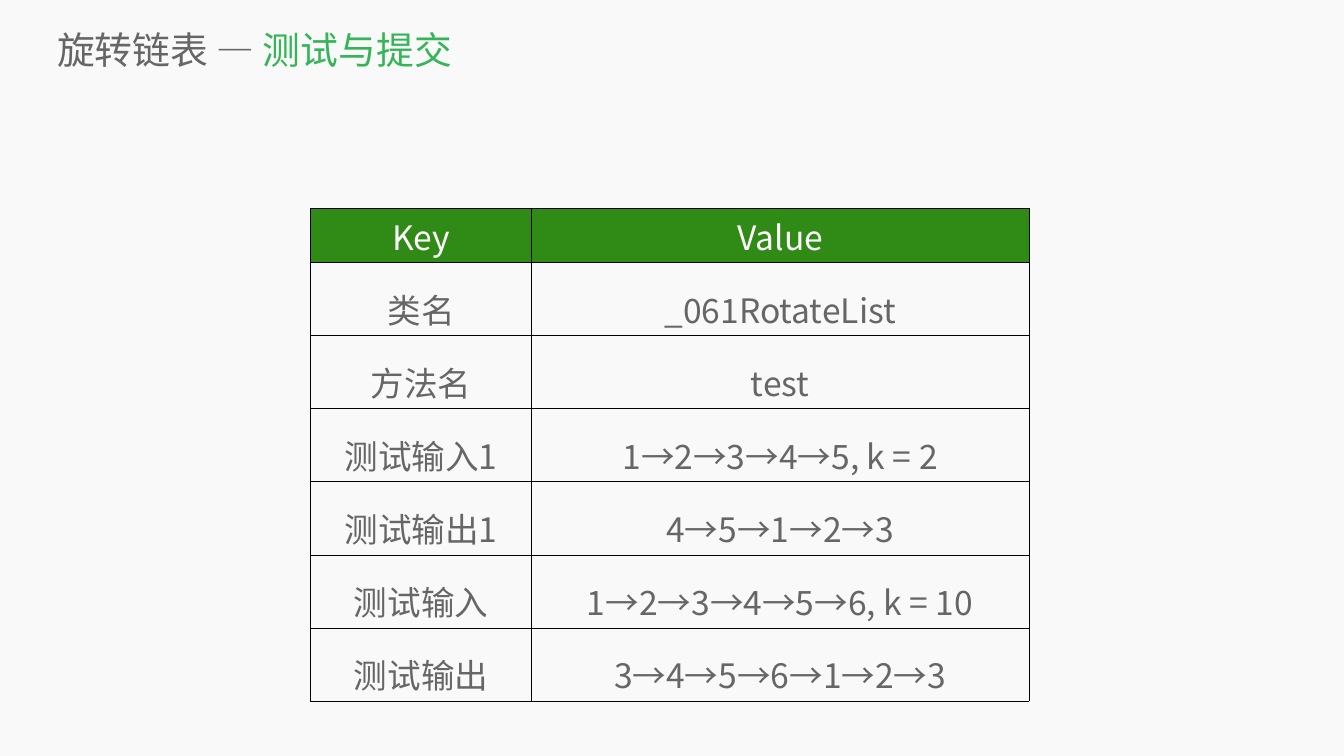
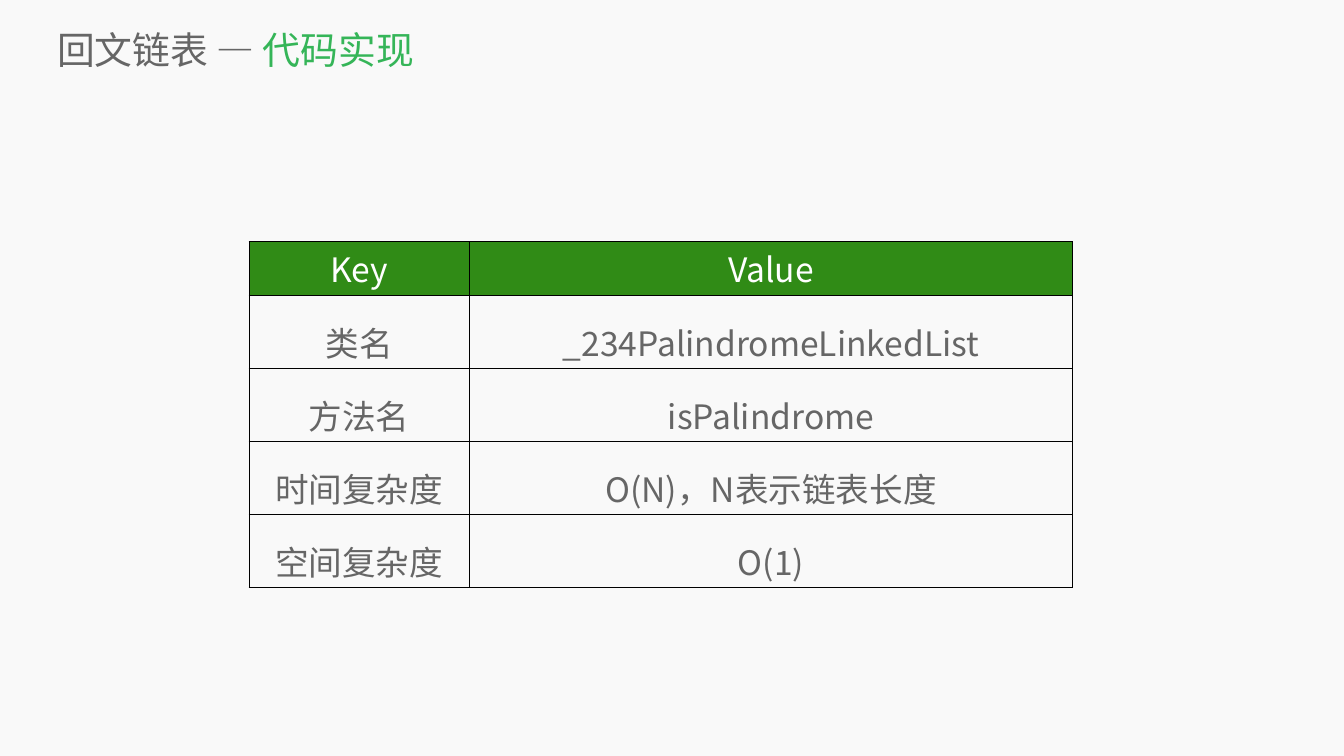
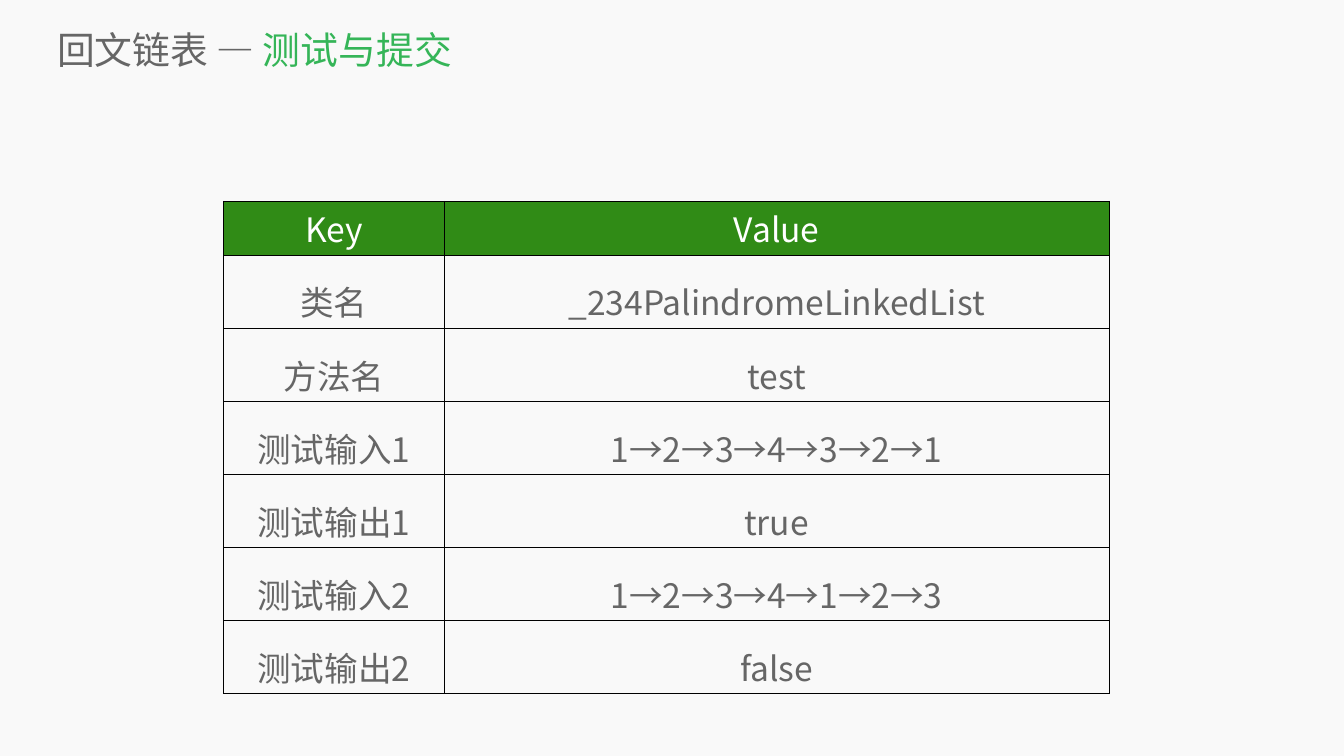
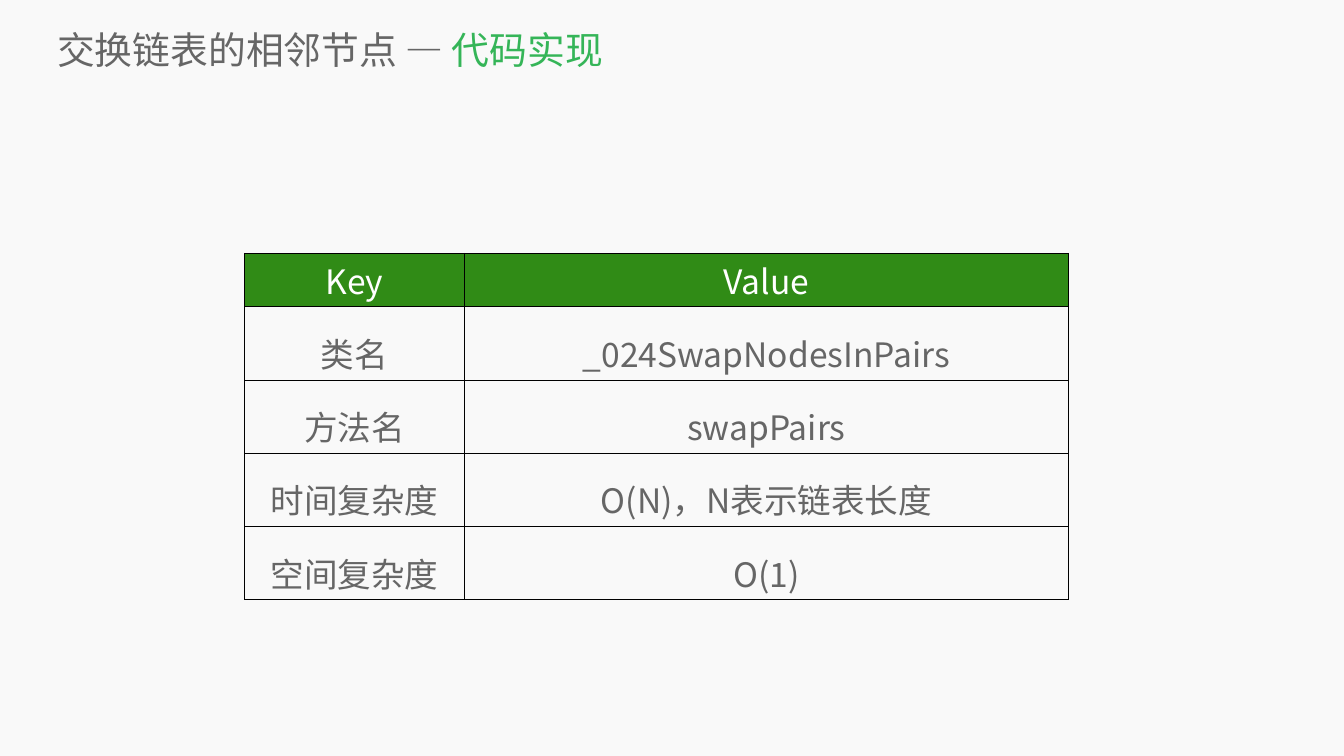
import dataclasses

import lxml.etree
import pptx
import pptx.dml.color
import pptx.enum.text
import pptx.oxml.ns
import pptx.util

Pt = pptx.util.Pt
RGB = pptx.dml.color.RGBColor.from_string


@dataclasses.dataclass(frozen=True)
class Theme:
    font: str = "Noto Sans CJK SC"
    background: str = "F9F9F9"
    text: str = "666666"
    accent: str = "35B558"
    header: str = "308B16"
    header_text: str = "FFFFFF"
    border: str = "000000"
    title_size: int = 54
    table_size: int = 48
    border_width: int = 1


theme = Theme()


def write(paragraph, text, size, color, align=None, spacing=None):
    run = paragraph.add_run()
    run.text = text
    run.font.size = Pt(size)
    run.font.name = theme.font
    run.font.color.rgb = RGB(color)
    east_asian = lxml.etree.SubElement(run.font._element, pptx.oxml.ns.qn("a:ea"))
    east_asian.set("typeface", theme.font)
    if align is not None:
        paragraph.alignment = align
    if spacing is not None:
        paragraph.line_spacing = spacing


def outline(cell):
    properties = cell._tc.get_or_add_tcPr()
    for side in ("a:lnL", "a:lnR", "a:lnT", "a:lnB"):
        line = lxml.etree.SubElement(properties, pptx.oxml.ns.qn(side), w=str(Pt(theme.border_width)))
        fill = lxml.etree.SubElement(line, pptx.oxml.ns.qn("a:solidFill"))
        lxml.etree.SubElement(fill, pptx.oxml.ns.qn("a:srgbClr"), val=theme.border)


KEY_WIDTH = 315
ROW_HEIGHT = 60
LEFT = pptx.enum.text.PP_ALIGN.LEFT
CENTER = pptx.enum.text.PP_ALIGN.CENTER

lessons = [
    {
        "topic": "旋转链表", "step": "测试与提交",
        "left": 444, "top": 298, "value_width": 711, "height": 592, "header_height": 61,
        "rows": [
            ("类名", "_061RotateList"),
            ("方法名", "test"),
            ("测试输入1", "1→2→3→4→5, k = 2"),
            ("测试输出1", "4→5→1→2→3"),
            ("测试输入", "1→2→3→4→5→6, k = 10"),
            ("测试输出", "3→4→5→6→1→2→3"),
        ],
    },
    {
        "topic": "回文链表", "step": "代码实现",
        "left": 355.5, "top": 345, "value_width": 862, "height": 416, "header_height": 61,
        "rows": [
            ("类名", "_234PalindromeLinkedList"),
            ("方法名", "isPalindrome"),
            ("时间复杂度", "O(N)，N表示链表长度"),
            ("空间复杂度", "O(1)"),
        ],
    },
    {
        "topic": "回文链表", "step": "测试与提交",
        "left": 319.5, "top": 287.5, "value_width": 950, "height": 592, "header_height": 57,
        "rows": [
            ("类名", "_234PalindromeLinkedList"),
            ("方法名", "test"),
            ("测试输入1", "1→2→3→4→3→2→1"),
            ("测试输出1", "true"),
            ("测试输入2", "1→2→3→4→1→2→3"),
            ("测试输出2", "false"),
        ],
    },
    {
        "topic": "交换链表的相邻节点", "step": "代码实现",
        "left": 349, "top": 361.5, "value_width": 862, "height": 416, "header_height": 61,
        "rows": [
            ("类名", "_024SwapNodesInPairs"),
            ("方法名", "swapPairs"),
            ("时间复杂度", "O(N)，N表示链表长度"),
            ("空间复杂度", "O(1)"),
        ],
    },
]

deck = pptx.Presentation()
deck.slide_width = Pt(1920)
deck.slide_height = Pt(1080)
backdrop = deck.slide_master.background.fill
backdrop.solid()
backdrop.fore_color.rgb = RGB(theme.background)

for lesson in lessons:
    slide = deck.slides.add_slide(deck.slide_layouts[0])
    subtitle = slide.placeholders[1].element
    subtitle.getparent().remove(subtitle)

    heading = slide.shapes.title
    heading.left, heading.top = Pt(81.5), Pt(34)
    heading.width, heading.height = Pt(1811.5), Pt(73.5)
    frame = heading.text_frame
    frame.margin_left = frame.margin_top = frame.margin_right = frame.margin_bottom = 0
    frame.vertical_anchor = pptx.enum.text.MSO_ANCHOR.MIDDLE
    frame.auto_size = pptx.enum.text.MSO_AUTO_SIZE.NONE
    frame.word_wrap = True
    write(frame.paragraphs[0], lesson["topic"] + " — ", theme.title_size, theme.text, align=LEFT)
    write(frame.paragraphs[0], lesson["step"], theme.title_size, theme.accent)

    entries = [("Key", "Value")] + lesson["rows"]
    grid = slide.shapes.add_table(
        len(entries), 2, Pt(lesson["left"]), Pt(lesson["top"]),
        Pt(KEY_WIDTH + lesson["value_width"]), Pt(lesson["height"]))
    summary = grid.table
    summary.first_row = False
    summary.horz_banding = False
    summary.columns[0].width = Pt(KEY_WIDTH)
    summary.columns[1].width = Pt(lesson["value_width"])

    for row, entry in enumerate(entries):
        is_header = row == 0
        summary.rows[row].height = Pt(lesson["header_height"] if is_header else ROW_HEIGHT)
        for column, text in enumerate(entry):
            cell = summary.cell(row, column)
            outline(cell)
            if is_header:
                cell.fill.solid()
                cell.fill.fore_color.rgb = RGB(theme.header)
            else:
                cell.fill.background()
            write(cell.text_frame.paragraphs[0], text, theme.table_size,
                  theme.header_text if is_header else theme.text,
                  align=CENTER, spacing=None if is_header else 1.4)
    grid.height = Pt(lesson["height"])

deck.save("out.pptx")
